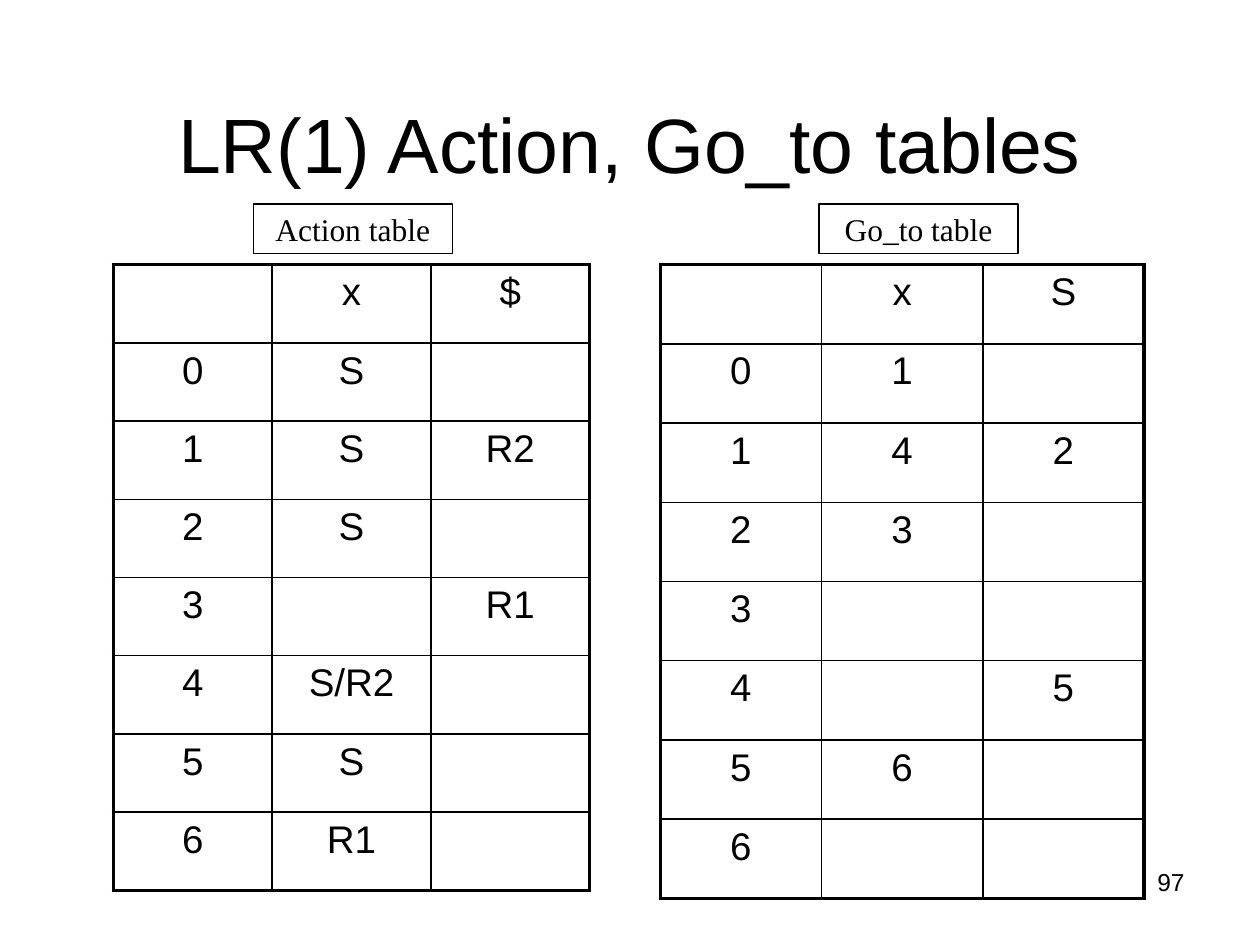
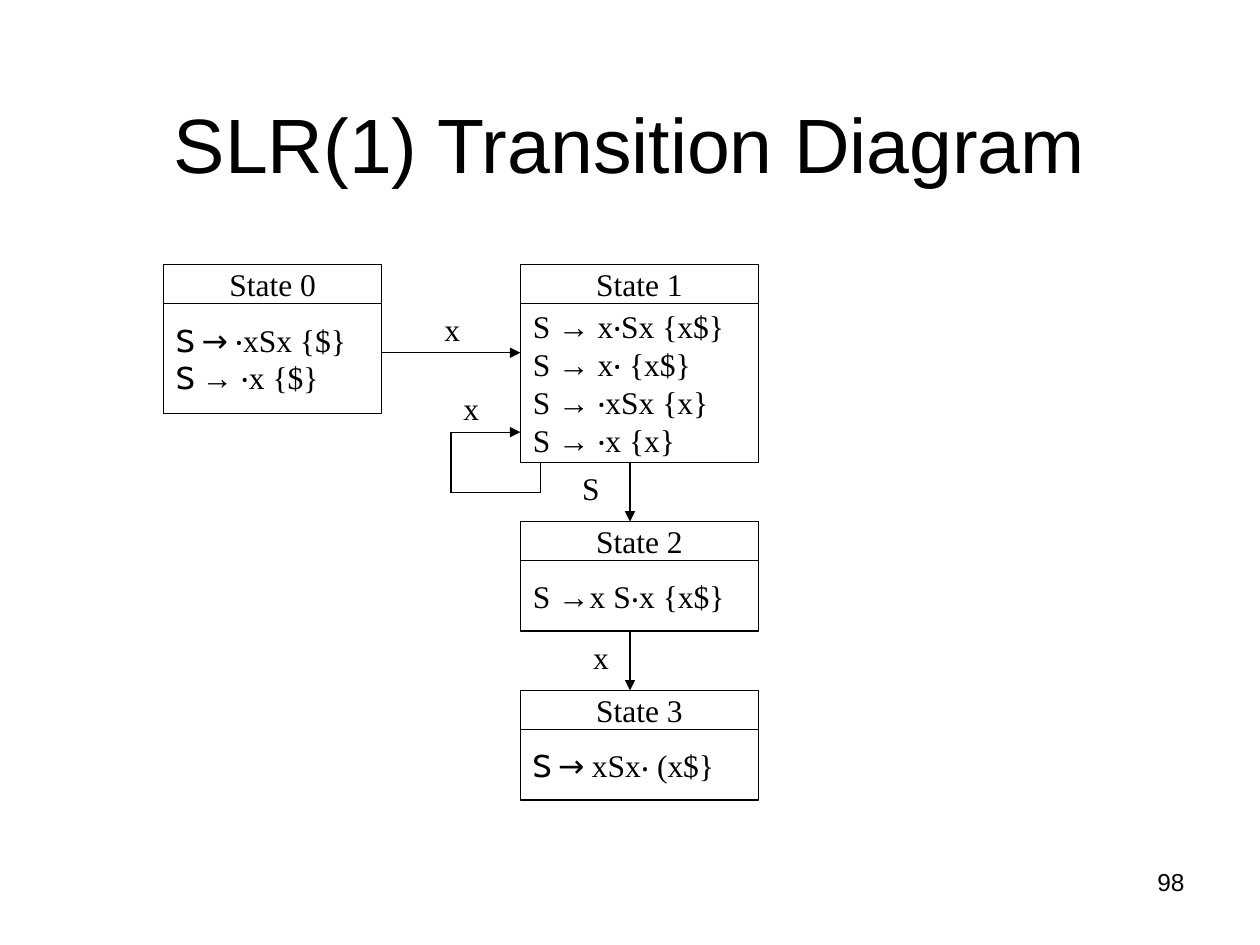
from itertools import pairwise

from lxml import etree
from pptx import Presentation
from pptx import util as u
from pptx.dml.color import RGBColor
from pptx.enum import shapes, text
from pptx.oxml.ns import qn

COLORS = {"ink": "000000", "paper": "FFFFFF"}
SANS, SERIF, CABIN = "Arial", "Times New Roman", "Cabin"
LEFT, CENTER, RIGHT = text.PP_ALIGN.LEFT, text.PP_ALIGN.CENTER, text.PP_ALIGN.RIGHT
TITLE_BOX = (0.5, 0.3, 9, 1.25)
NUMBER_BOX = (7.17, 6.83, 2.33, 0.52)
THIN, INNER, OUTER = 0.75, 1, 2.25
HEADING_HEIGHT = 0.31

ACTION_ROWS = [
    ["", "x", "$"], ["0", "S", ""], ["1", "S", "R2"], ["2", "S", ""],
    ["3", "", "R1"], ["4", "S/R2", ""], ["5", "S", ""], ["6", "R1", ""],
]
GOTO_ROWS = [
    ["", "x", "S"], ["0", "1", ""], ["1", "4", "2"], ["2", "3", ""],
    ["3", "", ""], ["4", "", "5"], ["5", "6", ""], ["6", "", ""],
]

# Heading, box, and production lines made of (text, font) runs
STATES = [
    ("State 0", (1.3, 2.1, 1.73, 1.18), [
        [("S → ", CABIN), ("‧xSx {$}", SERIF)],
        [("S ", CABIN), ("→ ‧x {$}", SERIF)],
    ]),
    ("State 1", (4.13, 2.1, 1.89, 1.57), [
        [("S → x‧Sx {x$}", SERIF)],
        [("S → x‧ {x$}", SERIF)],
        [("S → ‧xSx {x}", SERIF)],
        [("S → ‧x {x}", SERIF)],
    ]),
    ("State 2", (4.13, 4.14, 1.89, 0.87), [
        [("S →x S", SERIF), ("‧", SANS), ("x {x$}", SERIF)],
    ]),
    ("State 3", (4.13, 5.48, 1.89, 0.87), [
        [("S → ", CABIN), ("xSx", SERIF), ("‧", SANS), (" (x$}", SERIF)],
    ]),
]
# Each transition is a chain of points that ends in an arrowhead
TRANSITIONS = [
    [(3.03, 2.8), (4.13, 2.8)],
    [(5, 3.67), (5, 4.14)],
    [(4.29, 3.67), (4.29, 3.91), (3.58, 3.91), (3.58, 3.43), (4.13, 3.43)],
    [(5, 5.01), (5, 5.48)],
]
TRANSITION_LABELS = [("x", 3.43, 2.49), ("S", 4.53, 3.75), ("x", 3.58, 3.12), ("x", 4.61, 5.09)]


def inches(values):
    return [u.Inches(value) for value in values]


def color(name):
    return RGBColor.from_string(COLORS[name])


def apply(target, formats):
    for name, value in formats.items():
        setattr(target, name, value)


def write_lines(frame, lines, size, align):
    """Fill a text frame with paragraphs given as lists of (text, font) runs."""
    for index, line in enumerate(lines):
        paragraph = frame.add_paragraph() if index else frame.paragraphs[0]
        paragraph.alignment = align
        for content, font in line:
            run = paragraph.add_run()
            run.text = content
            apply(run.font, {"name": font, "size": u.Pt(size)})
            run.font.color.rgb = color("ink")


def add_box(slide, box, lines, align=CENTER, outline="ink"):
    shape = slide.shapes.add_shape(shapes.MSO_SHAPE.RECTANGLE, *inches(box))
    shape.shadow.inherit = False
    shape.fill.solid()
    shape.fill.fore_color.rgb = color("paper")
    shape.line.color.rgb = color(outline)
    shape.line.width = u.Pt(THIN)
    apply(shape.text_frame, {
        "vertical_anchor": text.MSO_ANCHOR.MIDDLE,
        "word_wrap": align == LEFT,
    })
    write_lines(shape.text_frame, lines, 18, align)


def add_titled_slide(presentation, title, number):
    slide = presentation.slides.add_slide(presentation.slide_layouts[5])
    heading = slide.shapes.title
    apply(heading, dict(zip(("left", "top", "width", "height"), inches(TITLE_BOX))))
    heading.text_frame.vertical_anchor = text.MSO_ANCHOR.BOTTOM
    write_lines(heading.text_frame, [[(title, SANS)]], 44, CENTER)
    page_number = slide.shapes.add_textbox(*inches(NUMBER_BOX))
    page_number.text_frame.word_wrap = True
    write_lines(page_number.text_frame, [[(str(number), SANS)]], 14, RIGHT)
    return slide


def set_borders(cell, widths):
    """Draw the left, right, top and bottom borders with widths in points."""
    properties = cell._tc.get_or_add_tcPr()
    for index, (side, width) in enumerate(zip("LRTB", widths)):
        border = etree.Element(qn(f"a:ln{side}"), w=str(u.Pt(width)))
        fill = etree.SubElement(border, qn("a:solidFill"))
        etree.SubElement(fill, qn("a:srgbClr"), val=COLORS["ink"])
        properties.insert(index, border)


def add_parse_table(slide, box, rows):
    row_count, column_count = len(rows), len(rows[0])
    table = slide.shapes.add_table(row_count, column_count, *inches(box)).table
    apply(table, {"first_row": False, "horz_banding": False})
    for row in table.rows:
        row.height = u.Inches(box[3] / row_count)
    for column in table.columns:
        column.width = u.Inches(box[2] / column_count)
    for r, values in enumerate(rows):
        for c, value in enumerate(values):
            cell = table.cell(r, c)
            cell.fill.background()
            on_edge = (c == 0, c == column_count - 1, r == 0, r == row_count - 1)
            set_borders(cell, [OUTER if edge else INNER for edge in on_edge])
            if value:
                write_lines(cell.text_frame, [[(value, SANS)]], 22, CENTER)


def add_line(slide, start, end, arrow):
    line = slide.shapes.add_connector(
        shapes.MSO_CONNECTOR.STRAIGHT, *inches(start), *inches(end))
    line.line.color.rgb = color("ink")
    line.line.width = u.Pt(THIN)
    if arrow:
        etree.SubElement(line.line._get_or_add_ln(), qn("a:tailEnd"), type="triangle")
    etree.SubElement(line._element.spPr, qn("a:effectLst"))


def add_state(slide, name, box, productions):
    left, top, width, height = box
    add_box(slide, (left, top, width, HEADING_HEIGHT), [[(name, SERIF)]])
    body = (left, top + HEADING_HEIGHT, width, height - HEADING_HEIGHT)
    add_box(slide, body, productions, LEFT)


def build_tables_slide(presentation):
    slide = add_titled_slide(presentation, "LR(1) Action, Go_to tables", 97)
    add_parse_table(slide, (5.24, 2.1, 3.84, 5.03), GOTO_ROWS)
    add_parse_table(slide, (0.9, 2.1, 3.78, 4.97), ACTION_ROWS)
    for caption, left in (("Action table", 2.01), ("Go_to table", 6.5)):
        add_box(slide, (left, 1.62, 1.58, 0.39), [[(caption, SERIF)]])


def build_diagram_slide(presentation):
    slide = add_titled_slide(presentation, "SLR(1) Transition Diagram", 98)
    for state in STATES:
        add_state(slide, *state)
    for label, left, top in TRANSITION_LABELS:
        add_box(slide, (left, top, 0.32, 0.24), [[(label, SERIF)]], outline="paper")
    for points in TRANSITIONS:
        for start, end in pairwise(points):
            add_line(slide, start, end, arrow=end == points[-1])


def main():
    presentation = Presentation()
    apply(presentation, {"slide_width": u.Inches(10), "slide_height": u.Inches(7.5)})
    build_tables_slide(presentation)
    build_diagram_slide(presentation)
    presentation.save("out.pptx")


if __name__ == "__main__":
    main()
